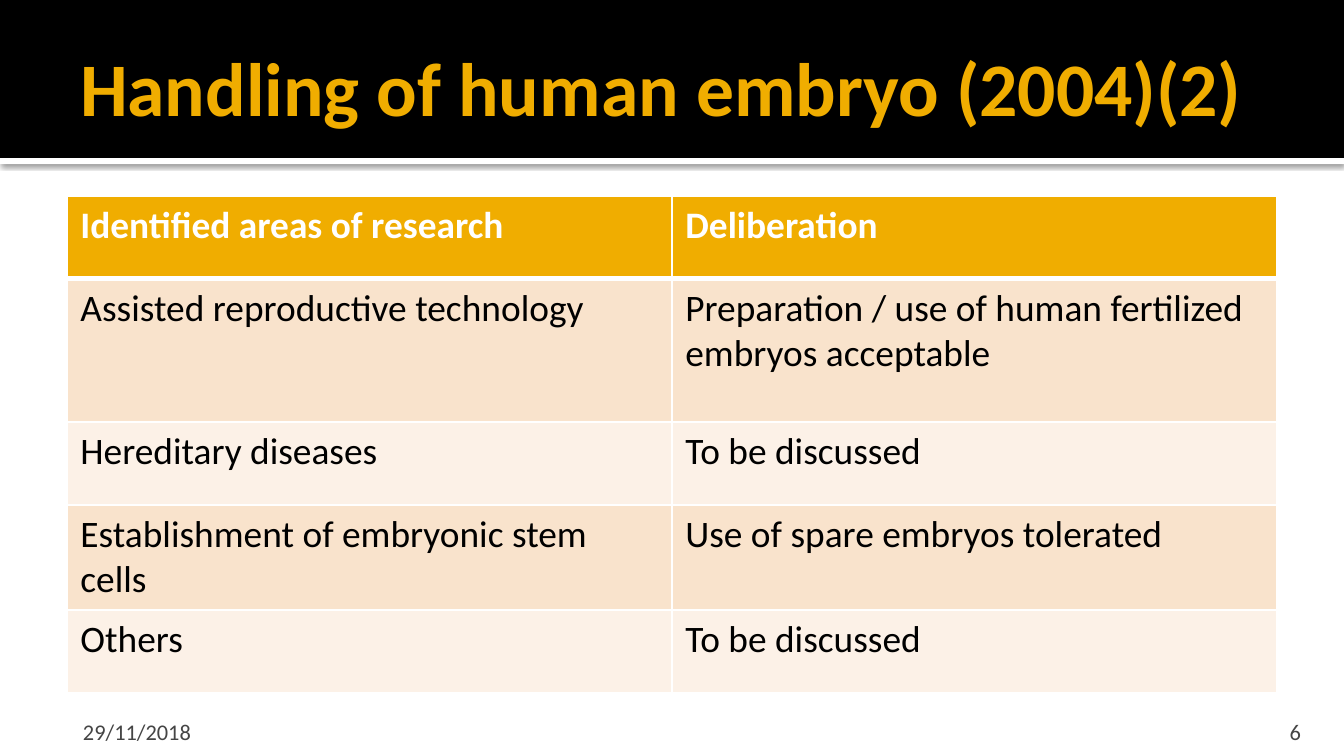
"""Build the slide on the handling of human embryos with its deliberation table."""
from lxml.etree import SubElement
from pptx import Presentation
from pptx.dml.color import RGBColor
from pptx.enum.shapes import MSO_SHAPE
from pptx.enum.text import MSO_ANCHOR, MSO_AUTO_SIZE, PP_ALIGN
from pptx.oxml import parse_xml
from pptx.oxml.ns import nsdecls, qn
from pptx.util import Pt

EMU_PER_PIXEL = 914400 / 134.4
FONT = "Calibri"
COLORS = {
    "black": "000000",
    "white": "FFFFFF",
    "gold": "F0AD00",
    "peach": "F9E3CC",
    "cream": "FCF1E7",
    "gray": "454545",
}
ROWS = [
    ("Identified areas of research", "Deliberation"),
    ("Assisted reproductive technology",
     "Preparation / use of human fertilized embryos acceptable"),
    ("Hereditary diseases", "To be discussed"),
    ("Establishment of embryonic stem cells", "Use of spare embryos tolerated"),
    ("Others", "To be discussed"),
]
ROW_HEIGHTS = [83, 143, 83, 104, 83]


def px(pixels):
    return round(pixels * EMU_PER_PIXEL)


def box(*pixels):
    return [px(value) for value in pixels]


def rgb(name):
    return RGBColor.from_string(COLORS[name])


def write(frame, text, size=20, color="black", bold=False, align=PP_ALIGN.LEFT):
    paragraph = frame.paragraphs[0]
    paragraph.alignment = align
    run = paragraph.add_run()
    run.text = text
    run.font.name = FONT
    run.font.size = Pt(size)
    run.font.bold = bold
    run.font.color.rgb = rgb(color)


def set_frame(frame, anchor, left, top, right, bottom):
    frame.word_wrap = True
    frame.auto_size = MSO_AUTO_SIZE.NONE
    frame.vertical_anchor = anchor
    frame.margin_left, frame.margin_top = px(left), px(top)
    frame.margin_right, frame.margin_bottom = px(right), px(bottom)


def add_band(slide, top, height, color):
    band = slide.shapes.add_shape(MSO_SHAPE.RECTANGLE, *box(0, top, 1344, height))
    band.shadow.inherit = False
    band.fill.solid()
    band.fill.fore_color.rgb = rgb(color)
    band.line.fill.background()
    return band


def add_shadow(shape):
    effects = shape.element.spPr.find(qn("a:effectLst"))
    effects.append(parse_xml(
        f'<a:outerShdw {nsdecls("a")} blurRad="{Pt(2.5)}" dist="{Pt(0.8)}" '
        f'dir="5400000" algn="tl" rotWithShape="0"><a:srgbClr val="{COLORS["black"]}">'
        '<a:alpha val="60000"/></a:srgbClr></a:outerShdw>'))


def set_title(slide, text):
    title = slide.shapes.title
    title.left, title.top, title.width, title.height = box(67, 17, 1247, 138)
    set_frame(title.text_frame, MSO_ANCHOR.MIDDLE, 13, 7, 7, 7)
    write(title.text_frame, text, size=40.5, color="gold", bold=True)
    title.element.getparent().append(title.element)


def add_border(cell, side, width):
    line = SubElement(cell._tc.get_or_add_tcPr(), qn(f"a:ln{side}"), w=str(Pt(width)))
    fill = SubElement(line, qn("a:solidFill"))
    SubElement(fill, qn("a:srgbClr"), val=COLORS["white"])


def format_cell(cell, text, row):
    header = row == 0
    widths = {"L": 1, "R": 1, "T": 3 if row == 1 else 1, "B": 3 if header else 1}
    for side, width in widths.items():
        add_border(cell, side, width)
    cell.fill.solid()
    cell.fill.fore_color.rgb = rgb("gold" if header else "peach" if row % 2 else "cream")
    write(cell.text_frame, text, color="white" if header else "black", bold=header)


def add_research_table(slide):
    frame = slide.shapes.add_table(
        len(ROWS), 2, *box(67, 196, 1210, sum(ROW_HEIGHTS)))
    table = frame.table
    for column in table.columns:
        column.width = px(605)
    for row, (texts, height) in enumerate(zip(ROWS, ROW_HEIGHTS)):
        table.rows[row].height = px(height)
        for column, text in enumerate(texts):
            format_cell(table.cell(row, column), text, row)


def add_footer(slide, text, left, width, margins, align):
    footer = slide.shapes.add_textbox(*box(left, 714, width, 31))
    set_frame(footer.text_frame, MSO_ANCHOR.BOTTOM, *margins)
    write(footer.text_frame, text, size=12, color="gray", align=align)


def main():
    presentation = Presentation()
    presentation.slide_width, presentation.slide_height = box(1344, 756)
    slide = presentation.slides.add_slide(presentation.slide_layouts[5])
    add_shadow(add_band(slide, 158, 6, "white"))
    add_band(slide, 0, 158, "black")
    set_title(slide, "Handling of human embryo (2004)(2)")
    add_research_table(slide)
    add_footer(slide, "29/11/2018", 67, 313, (16, 7, 7, 0), PP_ALIGN.LEFT)
    add_footer(slide, "6", 1206, 108, (13, 7, 13, 0), PP_ALIGN.RIGHT)
    presentation.save("out.pptx")


main()
